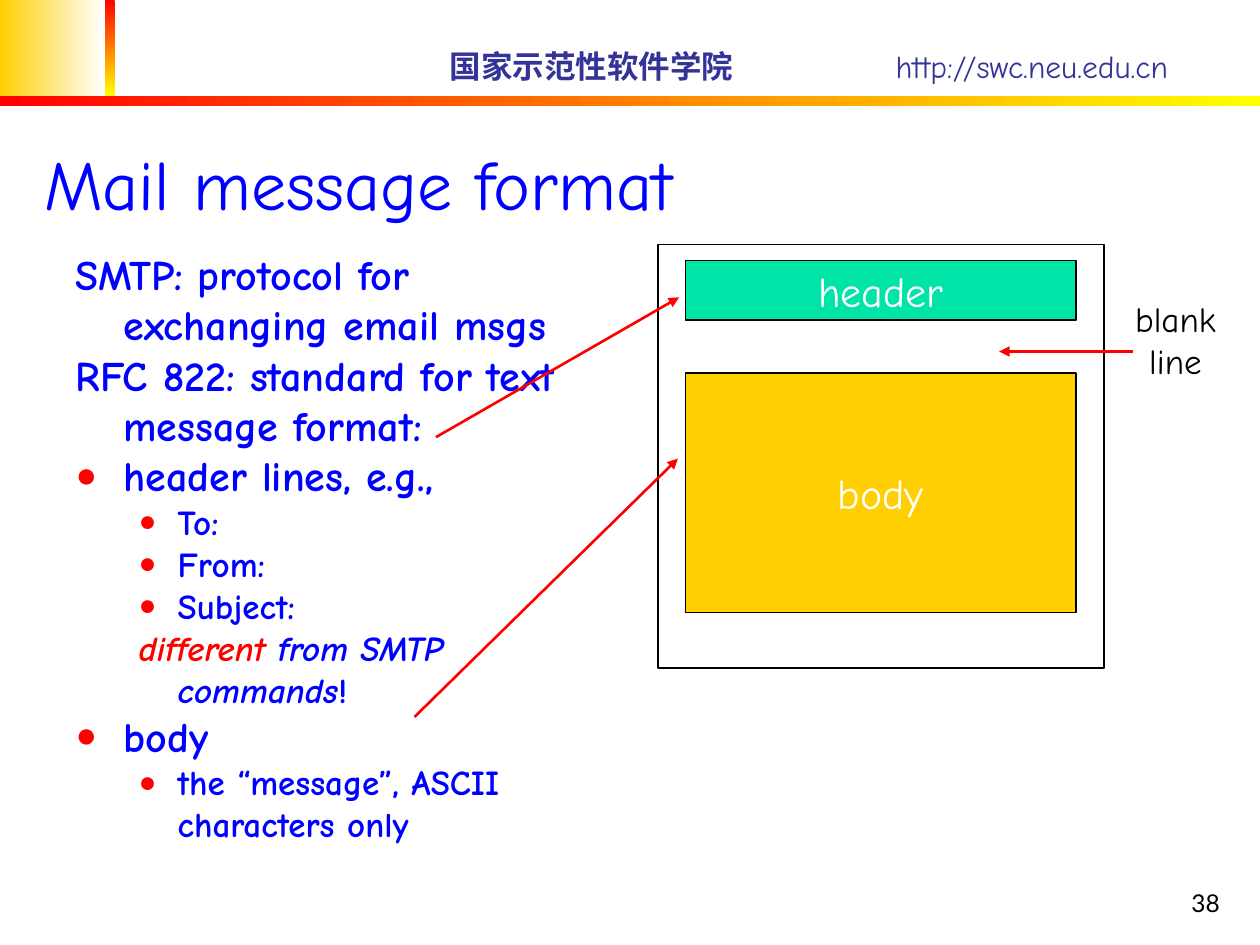
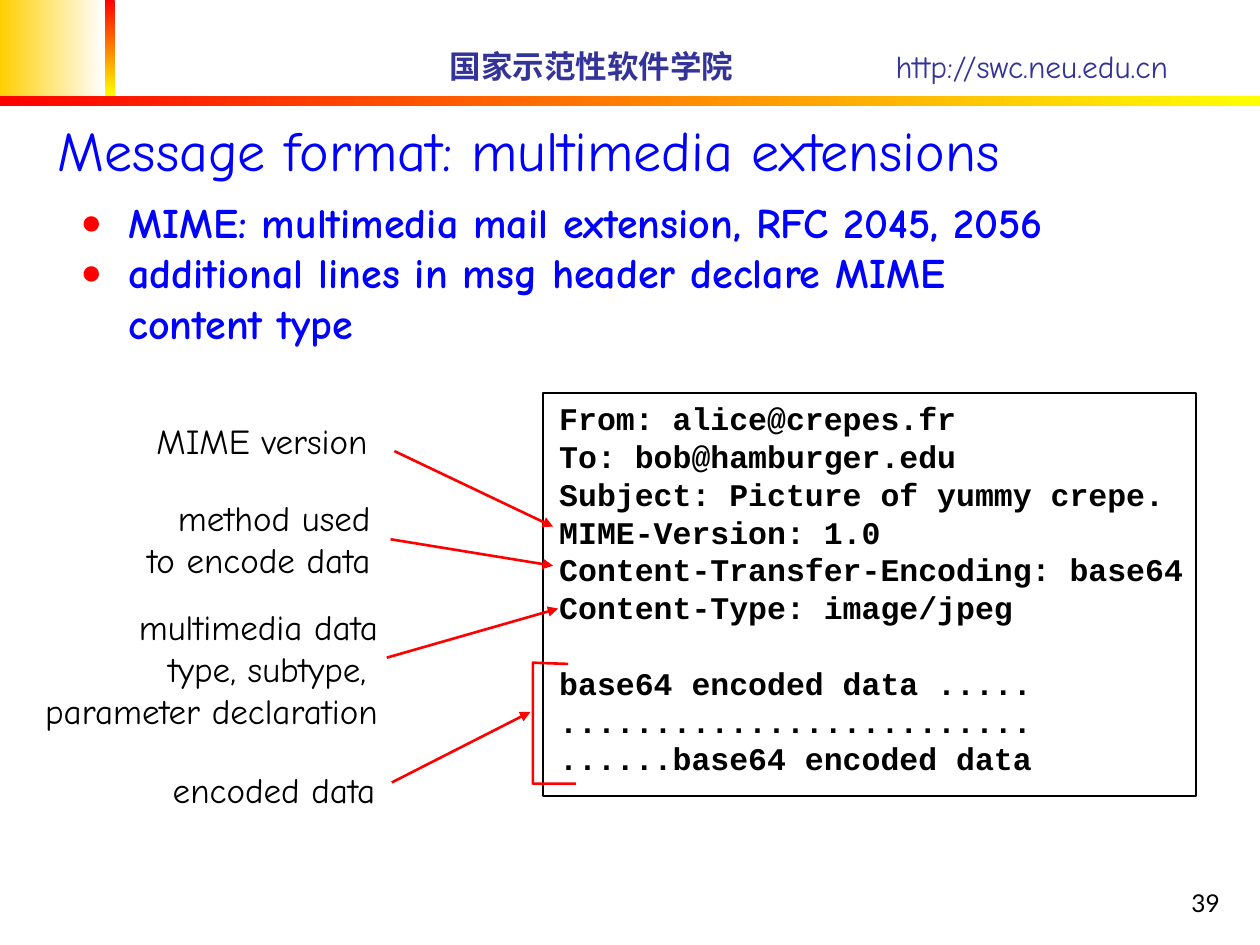
from lxml.etree import SubElement as Sub
from pptx import Presentation
from pptx.dml.color import RGBColor
from pptx.enum.shapes import MSO_CONNECTOR as Link, MSO_SHAPE as Kind
from pptx.enum.text import MSO_ANCHOR as Anchor, MSO_AUTO_SIZE as Fit, PP_ALIGN as Align
from pptx.oxml.ns import qn
from pptx.util import Inches, Pt

HUES = {
    "blue": "0000FF", "navy": "333399", "red": "FF0000", "yellow": "FFFF00",
    "gold": "FFCF01", "green": "00E4A8", "black": "000000", "white": "FFFFFF",
}
SANS, MONO, PLAIN = "Comic Neue", "Courier New", "Lato"

BANDS = [
    ((0, 0, 0.83, 0.76), ("gold", "white"), 0),
    ((0.83, 0, 0.08, 0.76), ("red", "yellow"), 270),
    ((0, 0.76, 10, 0.08), ("red", "yellow"), 0),
]
HEADS = [
    ((3.47, 0.32, 2.45, 0.4), "国家示范性软件学院", True),
    ((7.01, 0.32, 2.36, 0.4), "http://swc.neu.edu.cn", False),
]

MAIL = {
    "title": ("Mail message format", (0.25, 0.23, 9.53, 1.6), 40),
    "place": (0.5, 1.92, 4.53, 5.17),
    "list": [
        (0, False, ["SMTP: protocol for exchanging email msgs"]),
        (0, False, ["RFC 822: standard for text message format:"]),
        (0, True, ["header lines, e.g.,"]),
        (1, True, ["To:"]),
        (1, True, ["From:"]),
        (1, True, ["Subject:"]),
        (1, False, [("different ", "red", True),
                    ("from SMTP commands", "blue", True), "!"]),
        (0, True, ["body"]),
        (1, True, ["the “message”, ASCII characters only"]),
    ],
    "labels": [((8.91, 2.31, 0.84, 0.77), ["blank", "line"], Align.CENTER)],
    "arrows": [
        ((3.46, 3.47), (5.39, 2.36)),
        ((3.29, 5.69), (5.38, 3.64)),
        ((8.99, 2.79), (7.93, 2.79)),
    ],
    "page": "38",
}
PARTS = [
    ("header", (5.44, 2.07, 3.1, 0.47), "green"),
    ("body", (5.44, 2.96, 3.1, 1.9), "gold"),
]
FRAME = (5.22, 1.94, 3.54, 3.36)

MIME = {
    "title": ("Message format: multimedia extensions", (0.36, 0.25, 9.39, 1.25), 32),
    "place": (0.54, 1.51, 8.01, 5.08),
    "list": [
        (0, True, ["MIME: multimedia mail extension, RFC 2045, 2056"]),
        (0, True, ["additional lines in msg header declare MIME content type"]),
    ],
    "labels": [
        ((0.24, 4.76, 2.86, 1.1),
         ["multimedia data", "type, subtype, ", "parameter declaration"], Align.RIGHT),
        ((1.05, 3.89, 1.99, 0.77), ["method used", "to encode data"], Align.RIGHT),
        ((1.14, 3.28, 1.88, 0.44), ["MIME version"], Align.CENTER),
        ((1.27, 6.05, 1.81, 0.44), ["encoded data"], Align.CENTER),
    ],
    "arrows": [
        ((3.13, 3.58), (4.39, 4.18)),
        ((3.1, 4.28), (4.39, 4.49)),
        ((3.07, 5.22), (4.43, 4.83)),
        ((3.11, 6.21), (4.21, 5.65)),
    ],
    "page": "39",
}
LINES = [
    "From: alice@crepes.fr",
    "To: bob@hamburger.edu",
    "Subject: Picture of yummy crepe.",
    "MIME-Version: 1.0",
    "Content-Transfer-Encoding: base64",
    "Content-Type: image/jpeg",
]
DATA = [
    "base64 encoded data .....",
    ".........................",
    "......base64 encoded data",
]
PAPER = (4.31, 3.12, 5.18, 3.2)
SHEET = (4.34, 3.12, 5.44, 3.4)
BRACE = [(4.51, 5.27), (4.23, 5.26), (4.23, 6.22), (4.57, 6.22)]
PITCH = Pt(21.6)


def rgb(name):
    return RGBColor.from_string(HUES[name])


def spot(box):
    return [Inches(n) for n in box]


def put(para, text, size, hue="black", face=SANS, bold=False, slant=False):
    run = para.add_run()
    run.text = text
    font = run.font
    font.size, font.name, font.bold, font.italic = Pt(size), face, bold, slant
    font.color.rgb = rgb(hue)


def fill_text(frame, lines, align, size, wrap=True, **look):
    frame.word_wrap = wrap
    for n, line in enumerate(lines):
        para = frame.add_paragraph() if n else frame.paragraphs[0]
        para.alignment = align
        put(para, line, size, **look)


def add_text(slide, box, lines, align, size, **look):
    frame = slide.shapes.add_textbox(*spot(box)).text_frame
    fill_text(frame, lines, align, size, **look)
    return frame


def add_box(slide, box, hue=None, width=1):
    shape = slide.shapes.add_shape(Kind.RECTANGLE, *spot(box))
    shape.shadow.inherit = False
    if hue:
        shape.fill.solid()
        shape.fill.fore_color.rgb = rgb(hue)
    else:
        shape.fill.background()
    shape.line.color.rgb = rgb("black")
    shape.line.width = Pt(width)
    return shape


def add_arrow(slide, start, end):
    link = slide.shapes.add_connector(Link.STRAIGHT, *spot(start + end))
    link.line.color.rgb = rgb("red")
    link.line.width = Pt(1.5)
    Sub(link.line._get_or_add_ln(), qn("a:tailEnd"), type="triangle")
    Sub(link._element.spPr, qn("a:effectLst"))


def set_place(shape, box):
    shape.left, shape.top, shape.width, shape.height = spot(box)
    shape.text_frame.auto_size = Fit.NONE
    return shape.text_frame


def set_mark(para, level, dot):
    props = para._p.get_or_add_pPr()
    left, hang = [(0.38, 0.38), (0.81, 0.31)][level]
    props.set("marL", str(Inches(left)))
    props.set("indent", str(-Inches(hang)))
    if dot:
        Sub(Sub(props, qn("a:buClr")), qn("a:srgbClr"), val=HUES["red"])
        Sub(props, qn("a:buSzPct"), val="85000")
        Sub(props, qn("a:buFont"), typeface="Arial")
        Sub(props, qn("a:buChar"), char="●")
    else:
        Sub(props, qn("a:buNone"))


def add_list(frame, items):
    for n, (level, dot, runs) in enumerate(items):
        para = frame.add_paragraph() if n else frame.paragraphs[0]
        para.level = level
        para.space_before = Pt(0)
        set_mark(para, level, dot)
        for run in runs:
            text, hue, slant = (run, "blue", False) if isinstance(run, str) else run
            put(para, text, (24, 20)[level], hue, bold=True, slant=slant)


def add_bands(slide):
    count = len(slide.shapes)
    for box, hues, angle in BANDS:
        band = add_box(slide, box)
        band.line.fill.background()
        band.fill.gradient()
        band.fill.gradient_angle = angle
        for stop, hue, pos in zip(band.fill.gradient_stops, hues, (0, 1)):
            stop.color.rgb, stop.position = rgb(hue), pos
    for box, text, bold in HEADS:
        frame = add_text(slide, box, [text], Align.CENTER, 18,
                         wrap=False, hue="navy", bold=bold)
        frame.vertical_anchor = Anchor.MIDDLE
    tree = slide.slide_layout.shapes._spTree
    for n, shape in enumerate(list(slide.shapes)[count:]):
        shape._element.nvSpPr.cNvPr.set("id", str(20 + n))
        tree.append(shape._element)


def add_page(deck, page):
    slide = deck.slides.add_slide(deck.slide_layouts[1])
    text, box, size = page["title"]
    head = set_place(slide.shapes.title, box)
    head.vertical_anchor = Anchor.BOTTOM
    fill_text(head, [text], Align.LEFT, size, hue="blue")
    add_list(set_place(slide.placeholders[1], page["place"]), page["list"])
    for box, lines, align in page["labels"]:
        add_text(slide, box, lines, align, 20, wrap=False)
    foot = add_text(slide, (7.7, 6.83, 2.08, 0.5), [page["page"]],
                    Align.RIGHT, 14, face=PLAIN)
    foot.vertical_anchor = Anchor.BOTTOM
    return slide


def add_arrows(slide, page):
    for start, end in page["arrows"]:
        add_arrow(slide, start, end)


def draw_mail(deck):
    slide = add_page(deck, MAIL)
    add_bands(slide)
    for name, box, hue in PARTS:
        part = add_box(slide, box, hue, 0.75)
        part.text_frame.vertical_anchor = Anchor.MIDDLE
        fill_text(part.text_frame, [name], Align.CENTER, 24, wrap=False, hue="white")
    add_box(slide, FRAME)
    add_arrows(slide, MAIL)


def draw_mime(deck):
    slide = add_page(deck, MIME)
    frame = add_text(slide, SHEET, LINES + DATA, Align.LEFT, 18, face=MONO, bold=True)
    for para in frame.paragraphs:
        para.line_spacing = PITCH
    frame.paragraphs[len(LINES)].space_before = PITCH
    add_box(slide, PAPER)
    add_arrows(slide, MIME)
    first, *rest = [spot(point) for point in BRACE]
    path = slide.shapes.build_freeform(*first)
    path.add_line_segments(rest, close=False)
    brace = path.convert_to_shape()
    brace.shadow.inherit = False
    brace.fill.background()
    brace.line.color.rgb = rgb("red")
    brace.line.width = Pt(1.5)


def main():
    deck = Presentation()
    deck.slide_width, deck.slide_height = Inches(10), Inches(7.5)
    draw_mail(deck)
    draw_mime(deck)
    deck.save("out.pptx")


if __name__ == "__main__":
    main()
